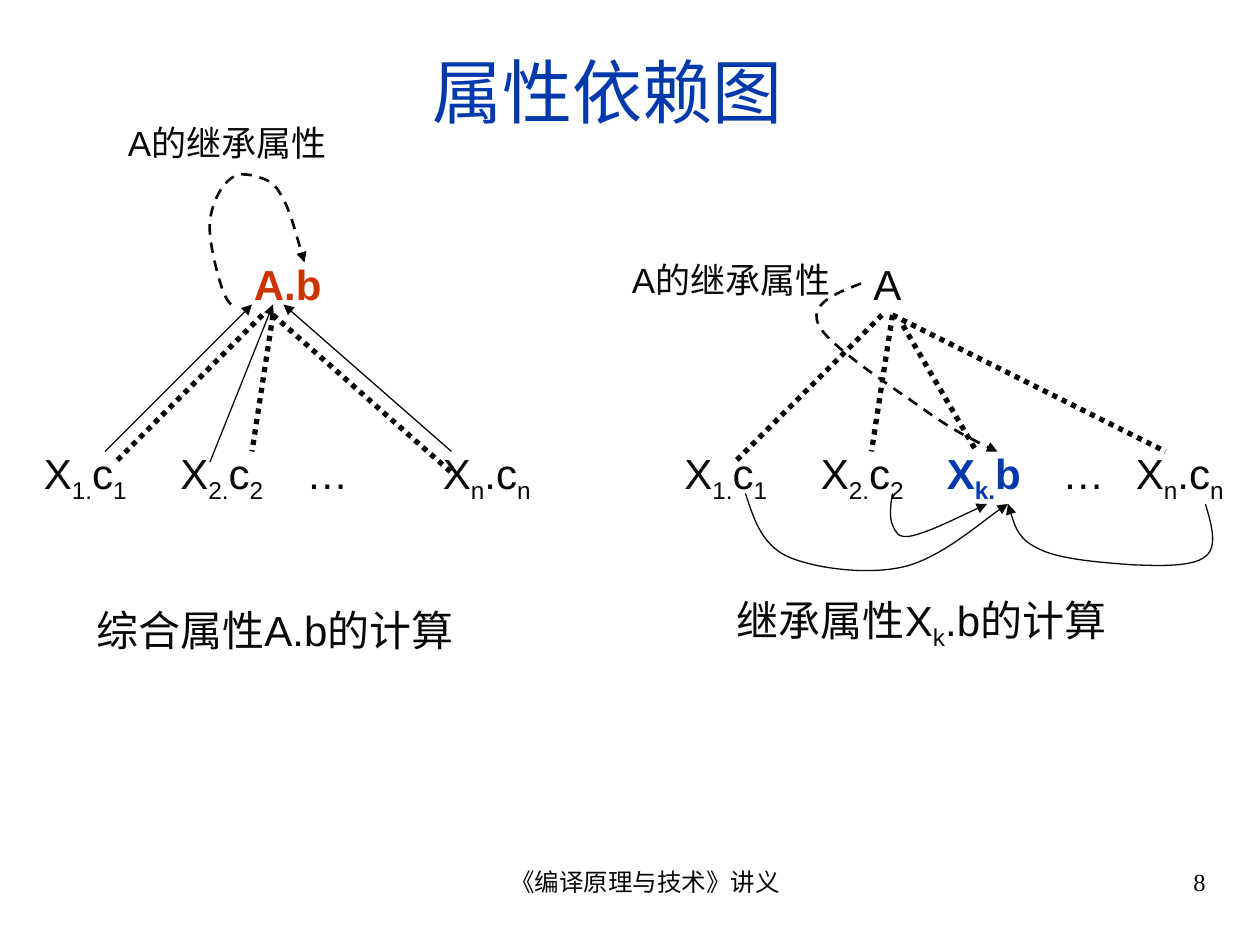
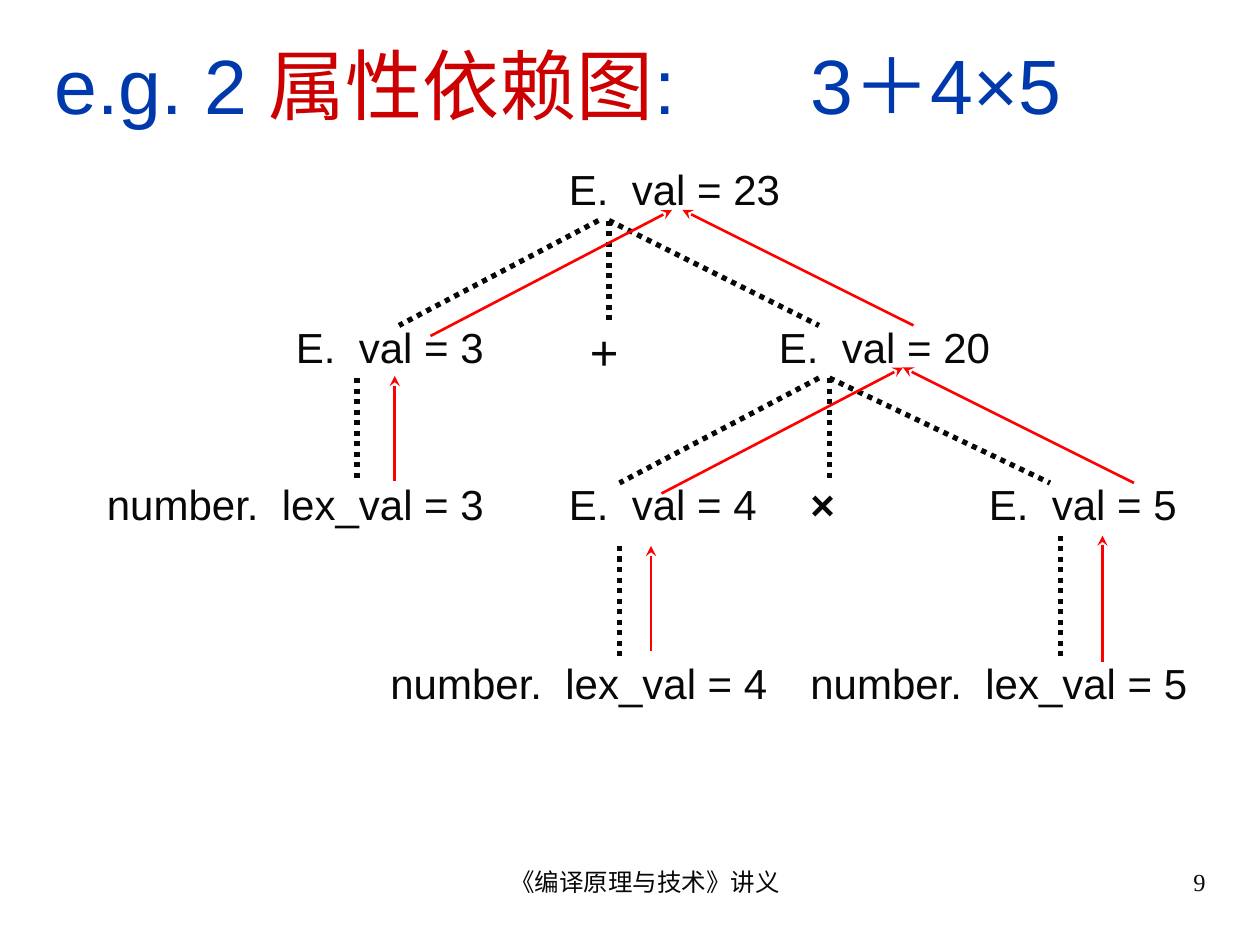
from lxml.etree import SubElement
from pptx import Presentation
from pptx.dml.color import RGBColor
from pptx.enum.dml import MSO_LINE
from pptx.enum.shapes import MSO_CONNECTOR
from pptx.enum.text import MSO_ANCHOR, MSO_AUTO_SIZE, PP_ALIGN
from pptx.oxml.ns import qn
from pptx.util import Cm, Pt

INK = RGBColor(0x08, 0x08, 0x08)
BLUE = RGBColor(0x00, 0x39, 0xAC)
ORANGE = RGBColor(0xCC, 0x33, 0x00)
CRIMSON = RGBColor(0xCC, 0x00, 0x00)
RED = RGBColor(0xFF, 0x00, 0x00)
BODY_FONT = "Arial"
FOOTER_FONT = "Times New Roman"
FOOTER = "《编译原理与技术》讲义"
TITLE_ONLY = 5
GRID_CM = 2.54 / 12


def grid(steps):
    return Cm(steps * GRID_CM)


def format_run(span, size, color=INK, bold=False, font=BODY_FONT):
    span.font.name = font
    span.font.size = Pt(size)
    span.font.bold = bold
    span.font.color.rgb = color


def add_title(page, left, top, width, height, parts, size, tab_stops=()):
    title = page.shapes.title
    title.left, title.top = grid(left), grid(top)
    title.width, title.height = grid(width), grid(height)
    frame = title.text_frame
    frame.word_wrap = True
    frame.auto_size = MSO_AUTO_SIZE.NONE
    frame.vertical_anchor = MSO_ANCHOR.MIDDLE
    para = frame.paragraphs[0]
    para.alignment = PP_ALIGN.LEFT
    if tab_stops:
        tab_list = SubElement(para._p.get_or_add_pPr(), qn("a:tabLst"))
        for stop in tab_stops:
            SubElement(tab_list, qn("a:tab"), pos=str(grid(stop)), algn="l")
    for text, color in parts:
        span = para.add_run()
        span.text = text
        format_run(span, size, color)


def add_box(page, left, top, width, height):
    box = page.shapes.add_textbox(grid(left), grid(top), grid(width), grid(height))
    box.text_frame.word_wrap = True
    return box


def add_label(page, text, left, top, width, height=None, size=24, color=INK, bold=False):
    box = add_box(page, left, top, width, height or size / 4)
    box.text_frame.auto_size = MSO_AUTO_SIZE.SHAPE_TO_FIT_TEXT
    para = box.text_frame.paragraphs[0]
    for index, part in enumerate(text.split("~")):
        if not part:
            continue
        span = para.add_run()
        span.text = part
        format_run(span, size, color, bold)
        if index % 2:
            span._r.get_or_add_rPr().set("baseline", "-25000")


def add_footer_text(page, text, left, width, alignment):
    box = add_box(page, left, 82, width, 6.25)
    box.text_frame.margin_left = Cm(0.86)
    para = box.text_frame.paragraphs[0]
    para.text = text
    para.alignment = alignment
    format_run(para.runs[0], 14, font=FOOTER_FONT)


def add_footer(page, number):
    add_footer_text(page, FOOTER, 41, 38, PP_ALIGN.CENTER)
    add_footer_text(page, str(number), 86, 30, PP_ALIGN.RIGHT)


def style_line(line, color, width, dash=None, arrow=None):
    line.color.rgb = color
    line.width = Pt(width)
    if dash:
        line.dash_style = dash
    if arrow:
        SubElement(line._get_or_add_ln(), qn("a:tailEnd"), type=arrow)


def add_line(page, start, end, color, width, dash=None, arrow=None):
    connector = page.shapes.add_connector(
        MSO_CONNECTOR.STRAIGHT, *map(grid, start), *map(grid, end))
    style_line(connector.line, color, width, dash, arrow)
    SubElement(connector._element.spPr, qn("a:effectLst"))


def add_branches(page, branches):
    for start, end in branches:
        add_line(page, start, end, INK, 3, dash=MSO_LINE.ROUND_DOT)


def add_curve(page, points, width, dash=None):
    start, *others = [(grid(x), grid(y)) for x, y in points]
    builder = page.shapes.build_freeform(*start)
    builder.add_line_segments(others, close=False)
    curve = builder.convert_to_shape()
    segments = list(curve._element.iter(qn("a:lnTo")))
    for first in range(0, len(segments), 3):
        bezier = SubElement(segments[first].getparent(), qn("a:cubicBezTo"))
        for segment in segments[first:first + 3]:
            bezier.append(segment[0])
            segment.getparent().remove(segment)
    curve.fill.background()
    curve.shadow.inherit = False
    style_line(curve.line, INK, width, dash, "triangle")


def add_synthesized_tree(page):
    add_label(page, "A的继承属性", 11, 11, 25, size=20)
    add_label(page, "A.b", 23, 24, 13, color=ORANGE, bold=True)
    for text, left, width in [("X~1.~c~1", 3, 13), ("X~2.~c~2", 16, 12),
                              ("…", 28, 7), ("X~n~.c~n", 41, 12)]:
        add_label(page, text, left, 42, width)
    add_label(page, "综合属性A.b的计算", 8, 57, 39)
    add_branches(page, [((25, 30), (11, 44)), ((26, 30), (24, 43)), ((26, 30), (43, 45))])
    for start, end in [((10, 43), (24, 29)), ((20, 44), (26, 29)), ((43, 43), (27, 29))]:
        add_line(page, start, end, INK, 0.75, arrow="triangle")
    inherited_loop = [
        (22, 29), (21.7, 28.7), (21.4, 28.3), (21, 27),
        (20.6, 25.7), (19.8, 22.7), (20, 21), (20.2, 19.3), (21.1, 17.6), (22, 17),
        (22.8, 16.3), (24.1, 16.7), (25, 17), (25.8, 17.3), (26.3, 17.6), (27, 19),
        (27.7, 20.3), (28.3, 22.7), (29, 25)]
    add_curve(page, inherited_loop, 1.5, MSO_LINE.DASH)


def add_inherited_tree(page):
    add_label(page, "A的继承属性", 59, 24, 23, size=20)
    add_label(page, "A", 82, 24, 13)
    for text, left, width in [("X~1.~c~1", 64, 13), ("X~2.~c~2", 77, 12),
                              ("…", 100, 7), ("X~n~.c~n", 107, 12)]:
        add_label(page, text, left, 42, width)
    add_label(page, "X~k.~b", 89, 42, 12, color=BLUE, bold=True)
    add_label(page, "继承属性X~k~.b的计算", 69, 56, 39, height=11.5)
    add_branches(page, [((84, 30), (70, 44)), ((85, 30), (83, 43)),
                        ((86, 31), (93, 43)), ((85, 30), (111, 43))])
    from_first = [
        (71, 47), (71.8, 49.4), (72.5, 51.8), (75, 53),
        (77.5, 54.1), (82.4, 54.8), (86, 54), (89.5, 53.2), (94.3, 49), (96, 48)]
    from_second = [
        (85, 47), (84.8, 48.1), (84.7, 49.3), (85, 50),
        (85.3, 50.6), (85.4, 51.4), (87, 51), (88.6, 50.6), (91.2, 49.3), (94, 48)]
    from_last = [
        (114.8, 48), (115.4, 50), (116, 52.1), (114.8, 53),
        (113.6, 54), (110.5, 53.9), (107.9, 53.8),
        (105.2, 53.6), (100.9, 53.3), (99, 52.3), (97, 51.4), (96.5, 49.7), (96, 48)]
    for points in (from_first, from_second, from_last):
        add_curve(page, points, 0.75)
    from_parent = [
        (82, 27), (79.4, 28), (77, 29), (78, 31),
        (79, 33), (85.2, 37), (88, 39), (90.8, 41), (92.9, 42), (95, 43)]
    add_curve(page, from_parent, 1.5, MSO_LINE.DASH)


def add_expression_tree(page):
    for text, left, top, width in [
            ("E.  val = 23", 53, 15, 24),
            ("E.  val = 3", 27, 30, 26), ("E.  val = 20", 73, 30, 29),
            ("number.  lex_val = 3", 9, 45, 39),
            ("E.  val = 4", 53, 45, 24), ("E.  val = 5", 93, 45, 23),
            ("number.  lex_val = 4", 36, 62, 44),
            ("number.  lex_val = 5", 76, 62, 42)]:
        add_label(page, text, left, top, width)
    add_label(page, "+", 55, 30, 8, size=28)
    add_label(page, "×", 76, 45, 8, bold=True)
    add_branches(page, [
        ((57, 21), (38, 31)), ((58, 21), (58, 31)), ((58, 21), (78, 31)),
        ((78, 36), (59, 46)), ((79, 36), (79, 46)), ((79, 36), (100, 46)),
        ((34, 36), (34, 46)), ((59, 52), (59, 63)), ((101, 51), (101, 63))])
    for start, end in [
            ((41, 32), (64, 20)), ((87, 31), (65, 20)),
            ((63, 47), (86, 35)), ((108, 46), (86, 35)),
            ((37.6, 45.8), (37.6, 35.8)), ((62, 62), (62, 52)), ((105, 63), (105, 51))]:
        add_line(page, start, end, RED, 1.5, arrow="stealth")


def main():
    deck = Presentation()
    deck.slide_width, deck.slide_height = Cm(25.4), Cm(19.05)
    layout = deck.slide_layouts[TITLE_ONLY]

    page = deck.slides.add_slide(layout)
    add_title(page, 40, 4, 43, 9.25, [("属性依赖图", BLUE)], 40)
    add_synthesized_tree(page)
    add_inherited_tree(page)
    add_footer(page, 8)

    page = deck.slides.add_slide(layout)
    title_parts = [("e.g. 2 ", BLUE), ("属性依赖图", CRIMSON), (":\t\t3＋4×5", BLUE)]
    add_title(page, 4, 2, 112, 12, title_parts, 44, tab_stops=range(0, 96, 12))
    add_expression_tree(page)
    add_footer(page, 9)

    deck.save("out.pptx")


if __name__ == "__main__":
    main()
